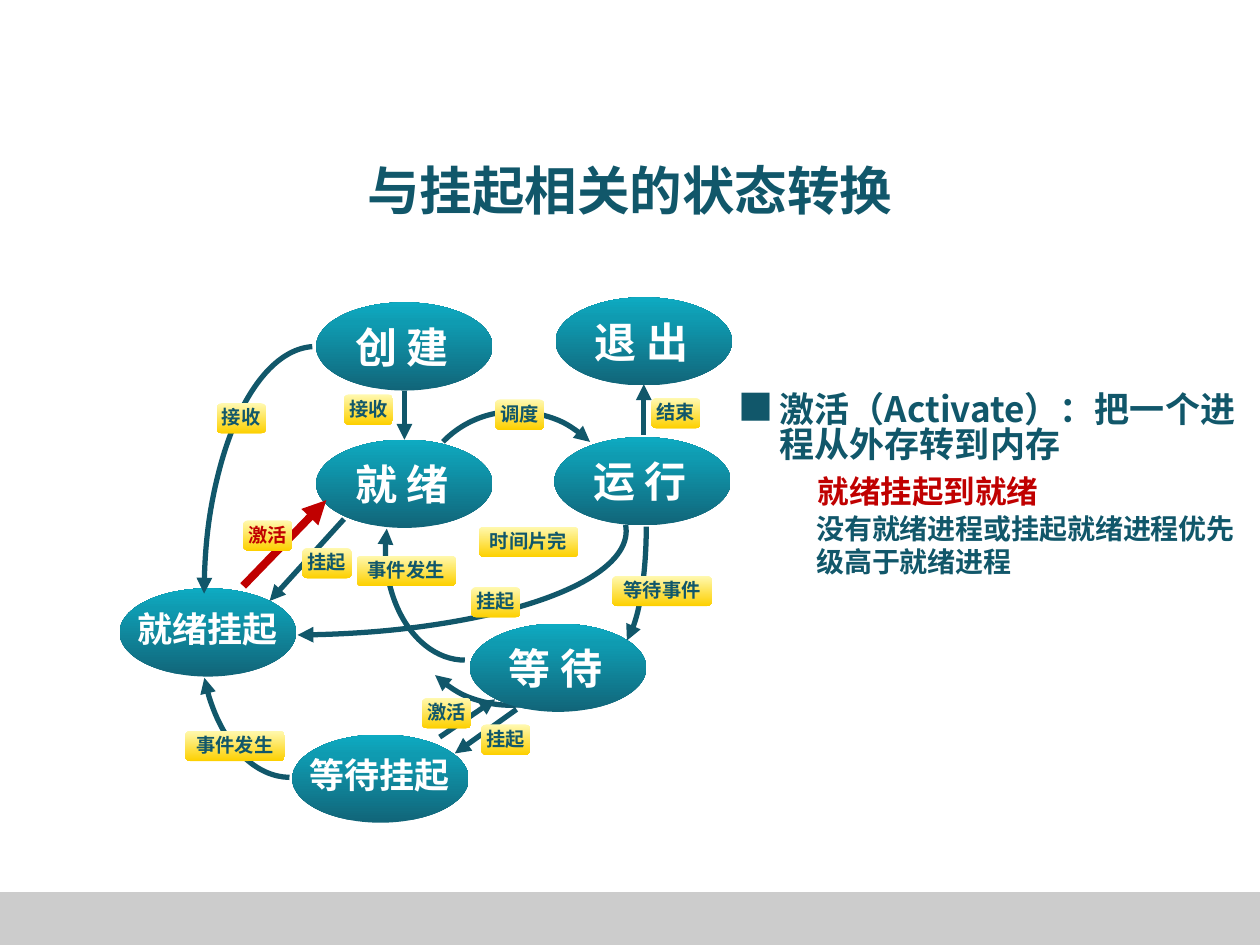
from pptx import Presentation, util as u
from pptx.dml.color import RGBColor
from pptx.enum import shapes, text
from pptx.oxml import parse_xml
from pptx.oxml.ns import nsdecls

COLORS = {"teal": "11576A", "red": "C00000", "white": "FFFFFF", "gray": "CCCCCC"}
STATE_GRADIENT = (270, [(0, "116579"), (77, "0F9BB1"), (100, "0EABC2")])
LABEL_GRADIENT = (90, [(0, "FFF9B1"), (100, "FDD000"), (100, "F0F2FF")])
FONT = "Noto Sans CJK SC"

presentation = Presentation()
presentation.slide_width = u.Inches(10)
presentation.slide_height = u.Inches(7.5)
slide = presentation.slides.add_slide(presentation.slide_layouts[6])
strokes = []
gradients = []


def add_text(words, box, size, color="teal", frame_format=None, paragraph_format=None, font=FONT):
    shape = slide.shapes.add_textbox(*map(u.Inches, box))
    frame = shape.text_frame
    paragraph = frame.paragraphs[0]
    run = paragraph.add_run()
    run.text = words
    formats = [
        (frame, {"word_wrap": True, **(frame_format or {})}),
        (paragraph, paragraph_format or {}),
        (run.font, {"name": font, "size": u.Pt(size), "bold": True}),
    ]
    for target, values in formats:
        for name, value in values.items():
            setattr(target, name, value)
    run.font.color.rgb = RGBColor.from_string(COLORS[color])
    run.font._element.append(parse_xml(f'<a:ea {nsdecls("a")} typeface="{font}"/>'))


def add_arc(box, start, end, rotation=0, flips=(), arrow="tailEnd"):
    shape = slide.shapes.add_shape(shapes.MSO_SHAPE.ARC, *map(u.Inches, box))
    for index, angle in enumerate((start, end)):
        shape.adjustments[index] = angle * 0.6
    shape.rotation = rotation
    for flip in flips:
        shape._element.spPr.xfrm.set(flip, "1")
    shape.fill.background()
    shape.shadow.inherit = False
    strokes.append((shape, "teal", 3, arrow))


footer = slide.shapes.add_shape(
    shapes.MSO_SHAPE.RECTANGLE, *map(u.Inches, (0, 7.08, 10, 0.42)))
footer.fill.solid()
footer.fill.fore_color.rgb = RGBColor.from_string(COLORS["gray"])
footer.line.fill.background()
footer.shadow.inherit = False

centered = {"alignment": text.PP_ALIGN.CENTER}
fitted = {"auto_size": text.MSO_AUTO_SIZE.SHAPE_TO_FIT_TEXT}
add_text("与挂起相关的状态转换", (0.75, 1.04, 8.5, 0.92), 30,
         frame_format={"vertical_anchor": text.MSO_ANCHOR.MIDDLE},
         paragraph_format={**centered, "space_before": u.Pt(6)})

add_arc((4.63, 3.2, 0.5, 1.96), 0.13, 83.91)
add_arc((3.19, 3.89, 1.67, 1.72), 267.64, 359.27, rotation=134)

states = [
    ("创 建", 2.51, 2.4, 24),
    ("就 绪", 2.51, 3.49, 24),
    ("运 行", 4.4, 3.47, 24),
    ("等 待", 3.73, 4.95, 24),
    ("退 出", 4.41, 2.36, 24),
    ("就绪挂起", 0.95, 4.67, 20),
    ("等待挂起", 2.32, 5.83, 20),
]
for name, left, top, size in states:
    ellipse = slide.shapes.add_shape(
        shapes.MSO_SHAPE.OVAL, *map(u.Inches, (left, top, 1.4, 0.7)))
    gradients.append((ellipse, STATE_GRADIENT))
    width, height = (0.98, 0.5) if size == 24 else (1.32, 0.44)
    add_text(name, (left + (1.4 - width) / 2, top + 0.1, width, height), size, "white",
             {**fitted, "word_wrap": False})

add_arc((3.31, 3.25, 1.62, 1.68), 270, 0, rotation=314)
add_arc((-0.42, 3.39, 5.39, 1.65), 358.96, 83.95)
add_arc((3.06, 3.48, 1.26, 1.76), 345.24, 90, flips=["flipH"], arrow="headEnd")
add_arc((1.59, 3.92, 1.43, 2.25), 26.13, 89.63, flips=["flipH"], arrow="headEnd")
add_arc((1.62, 2.75, 1.77, 3.95), 0.9, 89.23, flips=["flipH", "flipV"], arrow="headEnd")

transitions = [
    ((3.21, 3.49, 3.21, 3.1), "teal", 3, "headEnd"),
    ((5.11, 3.45, 5.11, 3.05), "teal", 3, "tailEnd"),
    ((3.61, 5.98, 4.1, 5.63), "teal", 3, "headEnd"),
    ((3.49, 5.85, 3.93, 5.55), "teal", 3, "tailEnd"),
    ((1.93, 4.65, 2.59, 3.97), "red", 4.5, "tailEnd"),
    ((2.14, 4.77, 2.73, 4.12), "teal", 3, "headEnd"),
]
for ends, color, width, arrow in transitions:
    connector = slide.shapes.add_connector(
        shapes.MSO_CONNECTOR.STRAIGHT, *map(u.Inches, ends))
    strokes.append((connector, color, width, arrow))

labels = [
    ("挂起", 3.74, 4.66, "teal"),
    ("接收", 1.72, 3.2, "teal"),
    ("事件发生", 1.47, 5.8, "teal"),
    ("接收", 2.73, 3.13, "teal"),
    ("激活", 1.93, 4.13, "red"),
    ("挂起", 2.4, 4.35, "teal"),
    ("事件发生", 2.83, 4.41, "teal"),
    ("激活", 3.35, 5.54, "teal"),
    ("挂起", 3.82, 5.75, "teal"),
    ("等待事件", 4.86, 4.57, "teal"),
    ("时间片完", 3.8, 4.18, "teal"),
    ("调度", 3.93, 3.17, "teal"),
    ("结束", 5.17, 3.16, "teal"),
]
for name, left, top, color in labels:
    width = 0.39 if len(name) == 2 else 0.79
    label = slide.shapes.add_shape(
        shapes.MSO_SHAPE.ROUNDED_RECTANGLE, *map(u.Inches, (left, top, width, 0.24)))
    gradients.append((label, LABEL_GRADIENT))
    add_text(name, (left - 0.08, top - 0.03, width + 0.16, 0.29), 11, color, fitted, centered)

for shape, (angle, stops) in gradients:
    stop_list = "".join(
        f'<a:gs pos="{position * 1000}"><a:srgbClr val="{color}"/></a:gs>'
        for position, color in stops)
    shape._element.spPr.insert(2, parse_xml(
        f'<a:gradFill {nsdecls("a")} rotWithShape="1"><a:gsLst>{stop_list}</a:gsLst>'
        f'<a:lin ang="{angle * 60000}" scaled="0"/></a:gradFill>'))
    shape.line.fill.background()
    shape.shadow.inherit = False

for shape, color, width, arrow in strokes:
    shape.line.color.rgb = RGBColor.from_string(COLORS[color])
    shape.line.width = u.Pt(width)
    shape.line._ln.append(parse_xml(f'<a:{arrow} {nsdecls("a")} type="triangle"/>'))
    if shape.shape_type == shapes.MSO_SHAPE_TYPE.LINE:
        shape._element.spPr.append(parse_xml(f'<a:effectLst {nsdecls("a")}/>'))

add_text("没有就绪进程或挂起就绪进程优先级高于就绪进程", (6.38, 4.01, 3.6, 0.94), 16,
         paragraph_format={"space_before": u.Pt(3.2)})
add_text("激活（Activate）：把一个进程从外存转到内存", (6.09, 3.08, 4, 0.86), 20,
         paragraph_format={"line_spacing": u.Pt(20), "space_before": u.Pt(4)})
add_text("■", (5.76, 3.01, 0.41, 0.44), 20, frame_format=fitted,
         paragraph_format={"space_before": u.Pt(4)}, font="Noto Sans CJK JP")
add_text("就绪挂起到就绪", (6.39, 3.64, 5.78, 0.94), 18, "red",
         paragraph_format={"line_spacing": 1.2, "space_before": u.Pt(3.6)})

presentation.save("out.pptx")
